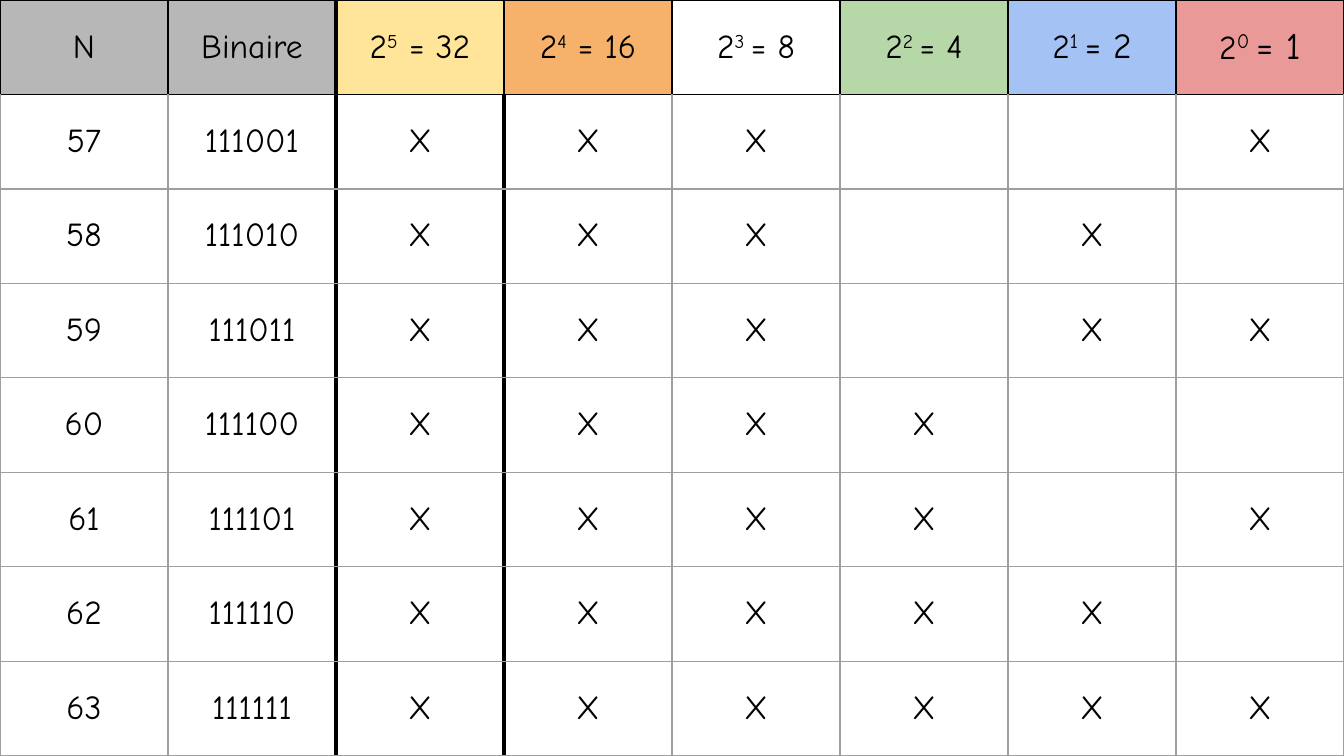
from lxml import etree
from pptx import Presentation
from pptx.dml.color import RGBColor
from pptx.enum.text import MSO_ANCHOR, PP_ALIGN
from pptx.oxml.ns import qn
from pptx.util import Inches, Pt

MIDDLE = MSO_ANCHOR.MIDDLE
CENTER = PP_ALIGN.CENTER
FONT = "Comic Neue"
COLORS = {
    "black": "000000", "line": "9E9E9E", "gray": "B7B7B7", "yellow": "FFE599",
    "orange": "F6B26B", "white": "FFFFFF", "green": "B6D7A8", "blue": "A4C2F4",
    "red": "EA9999",
}
THIN, THICK = 0.75, 3

# Each header: fill, then runs of (text, size, superscript)
HEADERS = [
    ("gray", [("N", 18, False)]),
    ("gray", [("Binaire", 18, False)]),
    ("yellow", [("2", 18, False), ("5", 18, True), (" = 32", 18, False)]),
    ("orange", [("2", 18, False), ("4", 18, True), (" = 16", 18, False)]),
    ("white", [("2", 18, False), ("3 ", 18, True), ("= 8", 18, False)]),
    ("green", [("2", 18, False), ("2 ", 18, True), ("= 4", 18, False)]),
    ("blue", [("2", 18, False), ("1 ", 19, True), ("= 2", 19, False)]),
    ("red", [("2", 18, False), ("0 ", 19, True), ("= 1", 20, False)]),
]
NUMBERS = range(57, 64)
MARK = "X"


def add_text(paragraph, text, size=18, superscript=False, color="black"):
    run = paragraph.add_run()
    run.text = text
    run.font.name = FONT
    run.font.size = Pt(size)
    run.font.color.rgb = RGBColor.from_string(COLORS[color])
    if superscript:
        run.font._element.set("baseline", "30000")


def set_borders(cell, borders):
    """Draw the cell sides, given as {side: (color, points)} in L, R, T, B order."""
    properties = cell._tc.get_or_add_tcPr()
    for side, (color, points) in borders.items():
        line = etree.SubElement(properties, qn(f"a:ln{side}"), w=str(Pt(points)))
        fill = etree.SubElement(line, qn("a:solidFill"))
        etree.SubElement(fill, qn("a:srgbClr"), val=COLORS[color])


def cell_borders(row, column):
    """Black around the header, gray in the body, thick beside the first bit column."""
    def vertical(edge):
        thick_edges = (2,) if row == 0 else (2, 3)
        if edge in thick_edges:
            return "black", THICK
        return ("black" if row == 0 else "line"), THIN

    def horizontal(edge):
        return ("black" if edge <= 1 else "line"), THIN

    return {"L": vertical(column), "R": vertical(column + 1),
            "T": horizontal(row), "B": horizontal(row + 1)}


def format_cell(cell, row, column, runs, fill=None):
    cell.margin_left = cell.margin_right = Inches(0.1)
    cell.margin_top = cell.margin_bottom = Inches(0.1)
    cell.vertical_anchor = MIDDLE
    set_borders(cell, cell_borders(row, column))
    if fill:
        cell.fill.solid()
        cell.fill.fore_color.rgb = RGBColor.from_string(COLORS[fill])
    else:
        cell.fill.background()
    paragraph = cell.text_frame.paragraphs[0]
    paragraph.alignment = CENTER
    for text, size, superscript in runs:
        add_text(paragraph, text, size=size, superscript=superscript)


def number_row(number):
    binary = f"{number:06b}"
    return [str(number), binary] + [MARK if bit == "1" else "" for bit in binary]


def main():
    presentation = Presentation()
    presentation.slide_width = Inches(10)
    presentation.slide_height = Inches(10 * 9 / 16)
    slide = presentation.slides.add_slide(presentation.slide_layouts[6])

    table = slide.shapes.add_table(
        len(NUMBERS) + 1, len(HEADERS), 0, 0,
        presentation.slide_width, presentation.slide_height).table
    table.first_row = table.horz_banding = False

    for column, (fill, runs) in enumerate(HEADERS):
        format_cell(table.cell(0, column), 0, column, runs, fill=fill)
    for row, number in enumerate(NUMBERS, start=1):
        for column, text in enumerate(number_row(number)):
            runs = [(text, 18, False)] if text else []
            format_cell(table.cell(row, column), row, column, runs)

    presentation.save("out.pptx")


if __name__ == "__main__":
    main()
